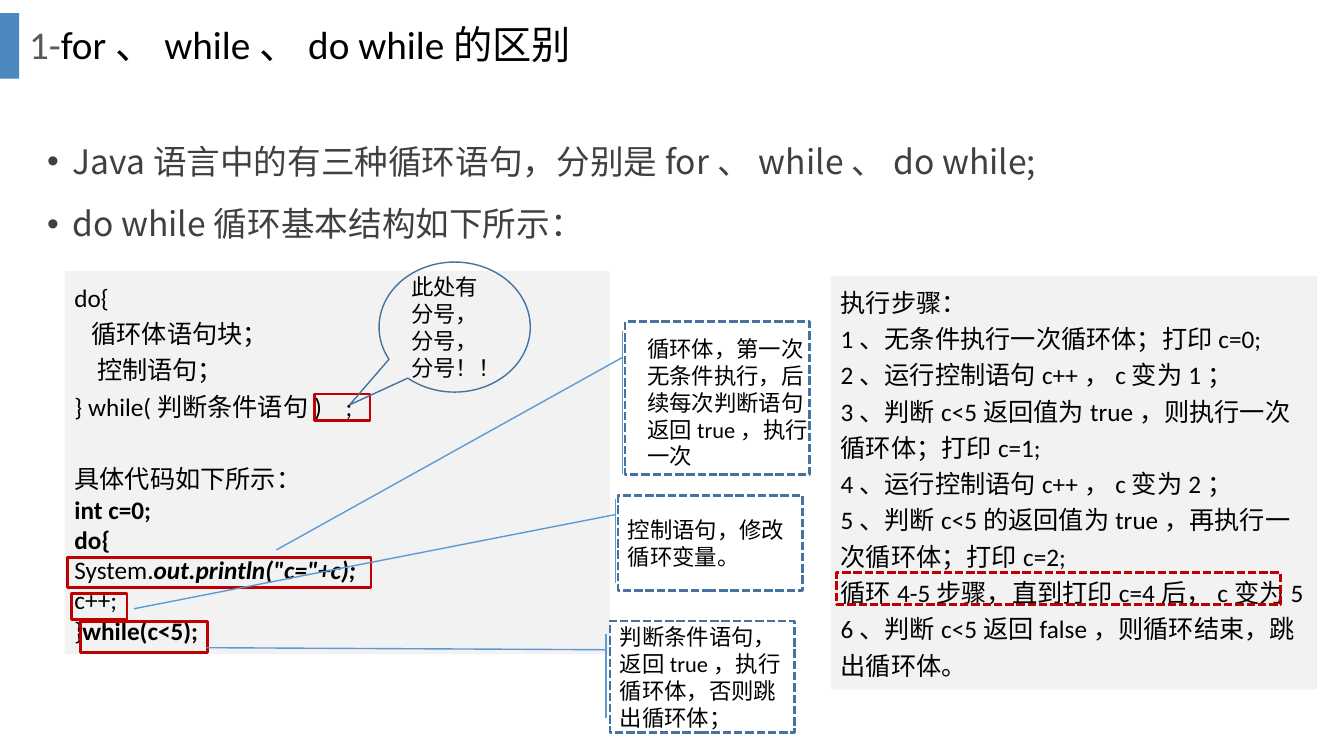
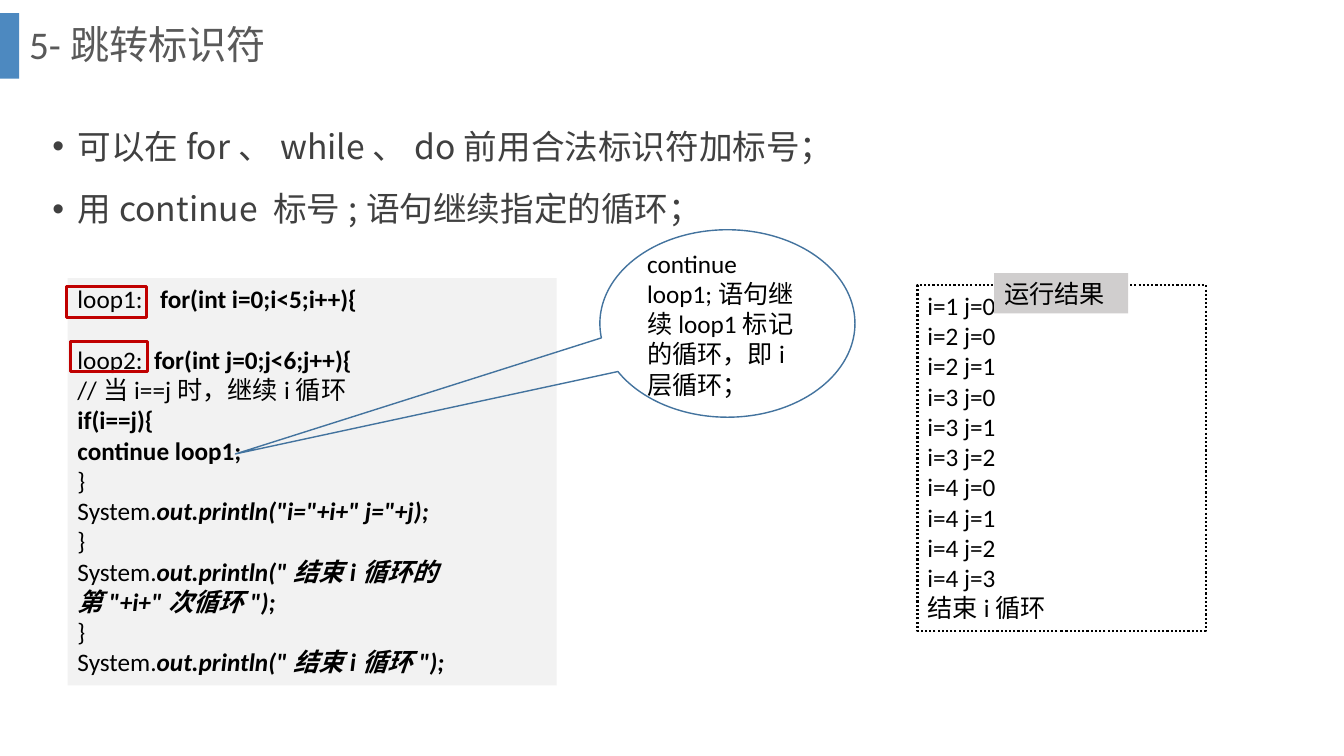
"""Build two slides on Java loop statements and loop labels."""
from lxml import etree
from pptx import Presentation
from pptx import util as u
from pptx.dml.color import RGBColor
from pptx.enum import dml, shapes, text
from pptx.oxml import ns

COLORS = {
    "bar": "2E75B6", "title": "595959", "body": "404040", "black": "000000",
    "panel": "F2F2F2", "label": "D0CECE", "mark": "C00000",
    "outline": "43739E", "callout": "5B9BD5",
}
RECT = shapes.MSO_SHAPE.RECTANGLE
DASH = dml.MSO_LINE.SQUARE_DOT
DOT = dml.MSO_LINE.ROUND_DOT


def rgb(name):
    return RGBColor.from_string(COLORS[name])


def add_xml(parent, tag, **attrs):
    return etree.SubElement(parent, ns.qn(tag), attrs)


def println(argument):
    return [("System.", ""), (f"out.println({argument});", "bi")]


def bold(line):
    return [(line, "b")]


class Deck:
    def __init__(self):
        self.prs = Presentation()
        self.prs.slide_width = u.Inches(13.33)
        self.prs.slide_height = u.Inches(7.5)
        self.s = None

    def slide(self, *title):
        self.s = self.prs.slides.add_slide(self.prs.slide_layouts[6])
        bar = self.shape((0, 0.13, 0.19, 0.65), fill="bar")
        color = bar._element.spPr.find(ns.qn("a:solidFill"))[0]
        add_xml(color, "a:alpha", val="85000")
        tf = self.textbox((0.19, 0, 12.66, 0.93))
        tf.vertical_anchor = text.MSO_ANCHOR.MIDDLE
        p = tf.paragraphs[0]
        p.line_spacing = 0.9
        for words, color in title:
            self.run(p, words, 28, color)

    def textbox(self, box):
        tf = self.s.shapes.add_textbox(*map(u.Inches, box)).text_frame
        tf.word_wrap = True
        return tf

    def run(self, p, words, size, color="black", style="", font="Calibri"):
        r = p.add_run()
        r.text = words
        r.font.name = font
        r.font.size = u.Pt(size)
        r.font.color.rgb = rgb(color)
        r.font.bold = "b" in style
        r.font.italic = "i" in style
        return r

    def shape(self, box, kind=RECT, fill=None, line=None, width=2, dash=None, adj=()):
        sp = self.s.shapes.add_shape(kind, *map(u.Inches, box))
        sp.shadow.inherit = False
        if fill:
            sp.fill.solid()
            sp.fill.fore_color.rgb = rgb(fill)
        else:
            sp.fill.background()
        if line:
            sp.line.color.rgb = rgb(line)
            sp.line.width = u.Pt(width)
            if dash:
                sp.line.dash_style = dash
        else:
            sp.line.fill.background()
        for i, value in enumerate(adj):
            sp.adjustments[i] = value
        return sp

    def fill_text(self, sp, lines, size=18, loose=0, gaps=None, tabs=None, middle=False):
        tf = sp.text_frame
        tf.word_wrap = True
        tf.vertical_anchor = text.MSO_ANCHOR.MIDDLE if middle else text.MSO_ANCHOR.TOP
        for i, line in enumerate(lines):
            p = tf.add_paragraph() if i else tf.paragraphs[0]
            p.alignment = text.PP_ALIGN.LEFT
            if i < loose:
                p.line_spacing = 1.2
            if gaps and i in gaps:
                p.space_before = u.Pt(gaps[i])
            if tabs and i in tabs:
                tab_list = add_xml(p._p.get_or_add_pPr(), "a:tabLst")
                add_xml(tab_list, "a:tab", pos=str(u.Inches(tabs[i])), algn="l")
            for words, style in [(line, "")] if isinstance(line, str) else line:
                self.run(p, words, size, style=style)

    def bullets(self, box, lines):
        tf = self.textbox(box)
        font = "Noto Sans CJK SC"
        for i, line in enumerate(lines):
            p = tf.add_paragraph() if i else tf.paragraphs[0]
            pPr = p._p.get_or_add_pPr()
            pPr.set("marL", str(u.Inches(0.25)))
            pPr.set("indent", str(-u.Inches(0.25)))
            add_xml(pPr, "a:buFont", typeface="Arial")
            add_xml(pPr, "a:buChar", char="•")
            p.line_spacing = 1.2
            if i:
                p.space_before = u.Pt(10)
            r = self.run(p, line, 24, "body", font=font)
            add_xml(r._r.get_or_add_rPr(), "a:ea", typeface=font)

    def panel(self, box, lines, **layout):
        self.fill_text(self.shape(box, fill="panel"), lines, **layout)

    def mark(self, box, dash=None):
        self.shape(box, line="mark", dash=dash)

    def callout(self, box, end, words=""):
        kind = shapes.MSO_SHAPE.LINE_CALLOUT_1_ACCENT_BAR
        sp = self.shape(box, kind, line="callout", width=1, adj=(0.188, -0.083, *end))
        if words:
            self.fill_text(sp, [words], 16, middle=True)

    def note(self, box, words=""):
        sp = self.shape(box, line="outline", dash=DASH)
        if words:
            self.fill_text(sp, [words], 16, middle=True)

    def bubble(self, box, tip, words, size):
        sp = self.shape(box, shapes.MSO_SHAPE.OVAL_CALLOUT, line="outline", width=1, adj=tip)
        self.fill_text(sp, [words], size, middle=True)


def do_while_slide(deck):
    deck.slide(("1-", "title"), ("for、while、do while的区别", "black"))
    deck.bullets((0.37, 1.27, 12.05, 2.6), [
        "Java语言中的有三种循环语句，分别是for、while、do while;",
        "do while循环基本结构如下所示：",
    ])
    deck.panel((0.64, 2.69, 5.41, 3.8), [
        "do{",
        "   循环体语句块；",
        "    控制语句；",
        "} while(判断条件语句)\t;",
        "具体代码如下所示：",
        bold("int c=0;"),
        bold("do{"),
        println('"c="+c'),
        "c++;",
        [("}", ""), ("while(c<5);", "b")],
    ], loose=5, gaps={4: 26}, tabs={3: 2.69})
    for box in ((3.12, 3.91, 0.55, 0.26), (0.71, 5.89, 0.55, 0.26),
                (0.67, 5.53, 3.01, 0.3), (0.8, 6.17, 1.26, 0.3)):
        deck.mark(box)
    deck.callout((6.32, 3.28, 1.79, 1.42), (1.532, -1.999),
                 "循环体，第一次无条件执行，后续每次判断语句返回true，执行一次")
    deck.callout((6.25, 4.95, 1.79, 0.83), (1.313, -2.749))
    deck.callout((6.16, 6.29, 1.79, 0.83), (0.164, -2.297))
    deck.note((6.2, 3.19, 1.83, 1.52))
    deck.note((6.13, 4.92, 1.83, 0.94), "控制语句，修改循环变量。")
    deck.note((6.05, 6.16, 1.83, 1.11), "判断条件语句，返回true，执行循环体，否则跳出循环体；")
    steps = [
        "执行步骤：",
        "1、无条件执行一次循环体；打印c=0;",
        "2、运行控制语句c++，c变为1；",
        "3、判断c<5返回值为true，则执行一次循环体；打印c=1;",
        "4、运行控制语句c++，c变为2；",
        "5、判断c<5的返回值为true，再执行一次循环体；打印c=2;",
        "循环4-5步骤，直到打印c=4后，c变为5",
        "6、判断c<5返回false，则循环结束，跳出循环体。",
    ]
    deck.panel((8.24, 2.74, 4.82, 4.1), steps, loose=len(steps))
    deck.mark((8.3, 5.68, 4.4, 0.32), DASH)
    deck.bubble((3.76, 2.6, 1.5, 1.29), (-0.695, 0.598), "此处有分号，分号，分号！！", 16)


def label_slide(deck):
    deck.slide(("5-跳转标识符", "title"))
    deck.bullets((0.42, 1.12, 12.05, 1.87), [
        "可以在for、while、do前用合法标识符加标号；",
        "用continue 标号;语句继续指定的循环；",
    ])
    deck.panel((0.67, 2.76, 4.85, 4.04), [
        [("loop1:\t", ""), ("for(int i=0;i<5;i++){", "b")],
        [("loop2:\t", ""), ("for(int j=0;j<6;j++){", "b")],
        "//当i==j时，继续i循环",
        bold("if(i==j){"),
        bold("continue loop1;"),
        "}",
        println('"i="+i+" j="+j'),
        "}",
        println('"结束i循环的第"+i+"次循环"'),
        "}",
        println('"结束i循环"'),
    ], gaps={1: 22}, tabs={0: 0.82, 1: 0.76})
    output = [f"i={i} j={j}" for i in range(1, 5) for j in range(i)]
    result = deck.shape((9.1, 2.83, 2.86, 3.43), line="black", width=1.5, dash=DOT)
    deck.fill_text(result, output + ["结束i循环"])
    deck.fill_text(deck.shape((9.86, 2.71, 1.33, 0.4), fill="label"), ["运行结果"])
    deck.bubble((5.95, 2.28, 2.53, 1.86), (-1.929, 0.696),
                "continue loop1;语句继续loop1标记的循环，即i层循环；", 18)
    deck.mark((0.66, 2.84, 0.79, 0.31))
    deck.mark((0.7, 3.39, 0.76, 0.3))


def main():
    deck = Deck()
    do_while_slide(deck)
    label_slide(deck)
    deck.prs.save("out.pptx")


if __name__ == "__main__":
    main()
